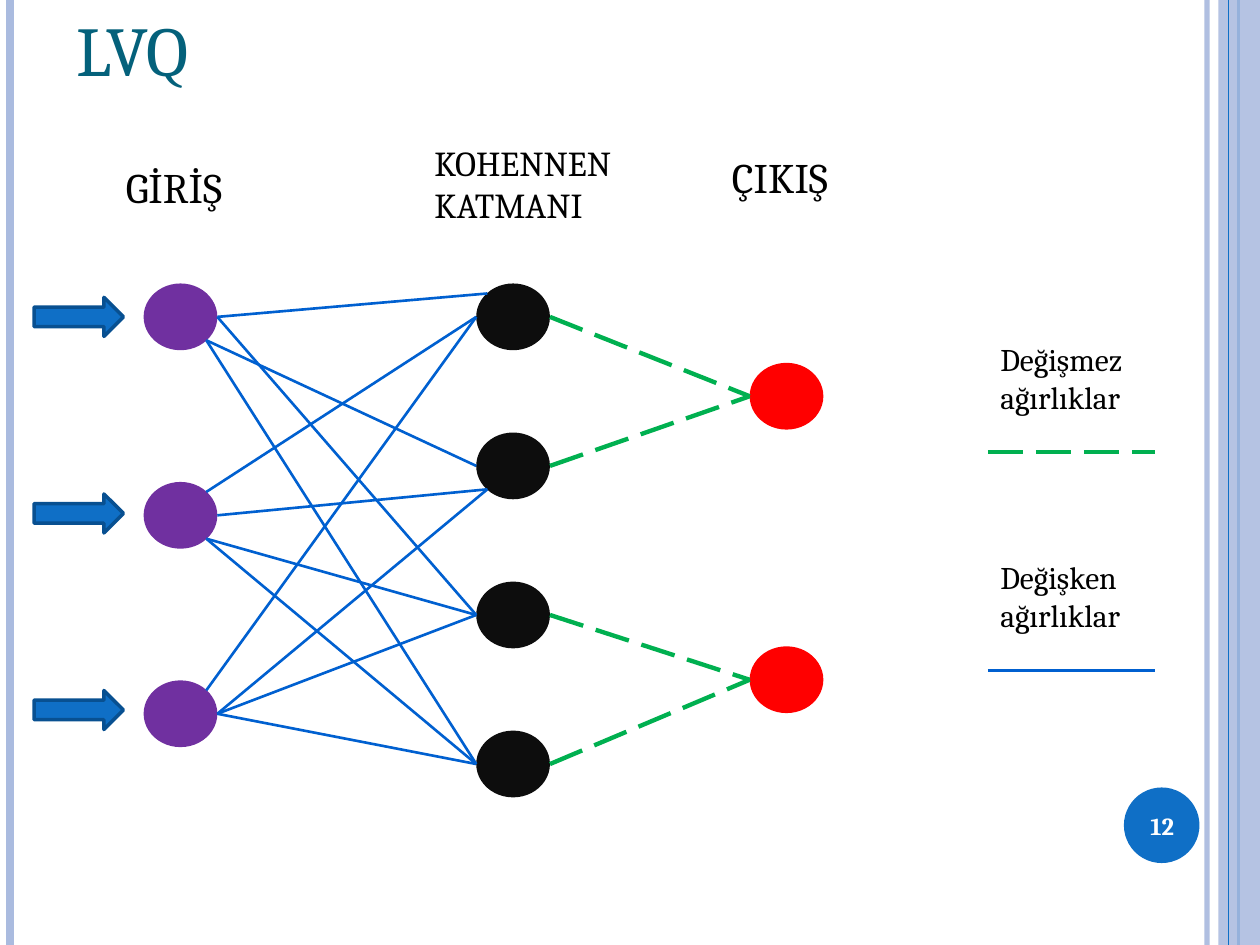
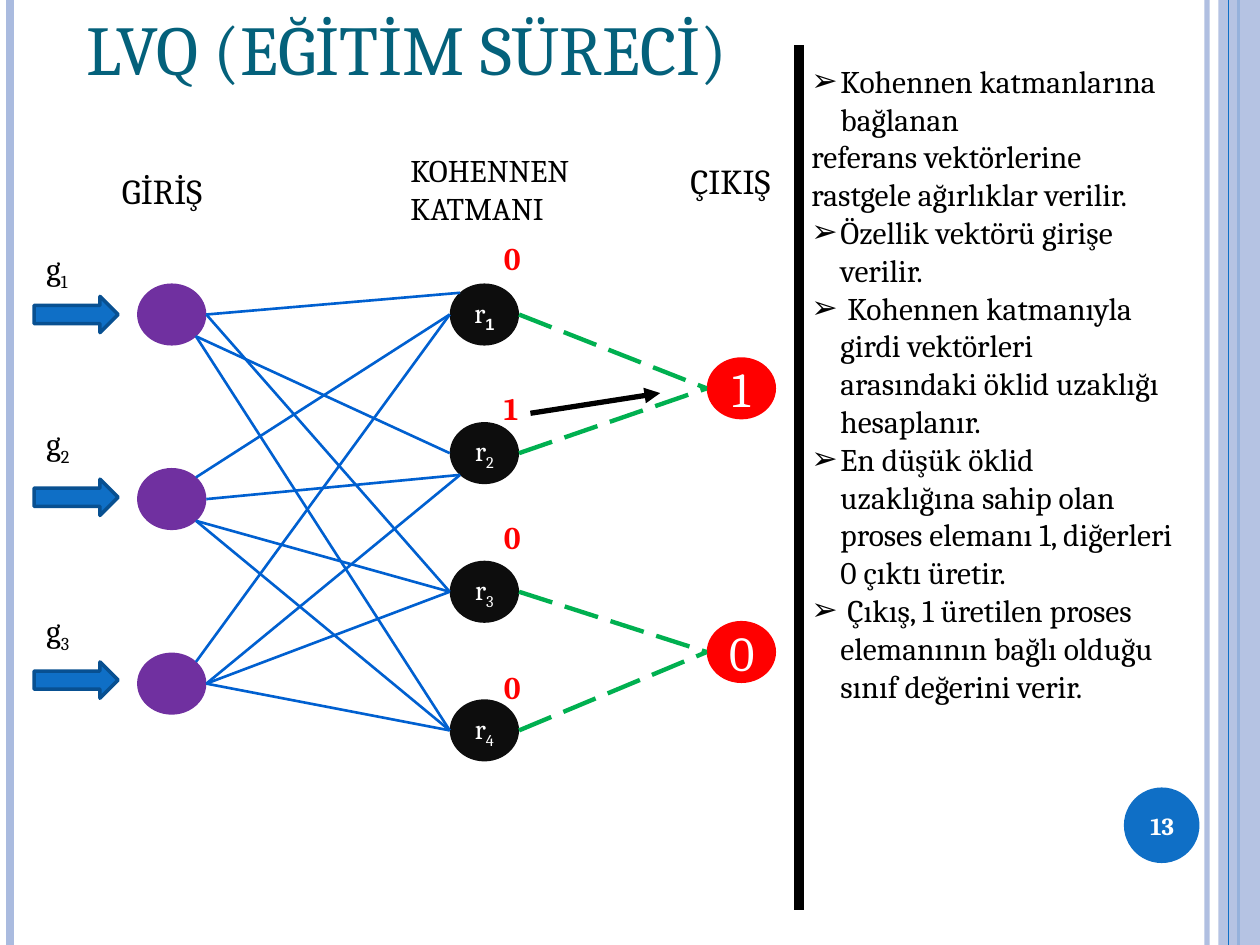
import dataclasses
import typing

import pptx
import pptx.dml.color
import pptx.enum.dml
import pptx.enum.shapes
import pptx.enum.text
import pptx.oxml.ns
import pptx.oxml.xmlchemy
import pptx.util

COLUMNS, ROWS = 100, 75
CELL = pptx.util.Inches(0.1)
SHAPES = pptx.enum.shapes.MSO_SHAPE
ALIGN = pptx.enum.text.PP_ALIGN
ANCHOR = pptx.enum.text.MSO_ANCHOR
LONG_DASH = pptx.enum.dml.MSO_LINE.LONG_DASH

BLUE, DARK_BLUE, PALE_BLUE, TITLE = "0F6FC6", "085091", "AABBDF", "04617B"
PURPLE, INK, RED, GREEN, LINK = "7030A0", "0D0D0D", "FF0000", "00B050", "0060D0"
BLACK, WHITE = "000000", "FFFFFF"

EAST, WEST = (1, 0.5), (0, 0.5)
NORTH_EAST, SOUTH_EAST = (0.85, 0.15), (0.85, 0.85)
NORTH_WEST, SOUTH_WEST = (0.15, 0.15), (0.15, 0.85)


class Point(typing.NamedTuple):
    column: float
    row: float


class Box(typing.NamedTuple):
    column: float
    row: float
    width: float
    height: float

    def site(self, share: tuple) -> Point:
        return Point(self.column + share[0] * self.width, self.row + share[1] * self.height)


class Run(typing.NamedTuple):
    text: str
    size: float
    colour: str = BLACK
    bold: bool = False
    subscript: bool = False
    name: str = "Cambria"


class Stroke(typing.NamedTuple):
    colour: str
    width: float
    dash: typing.Any = None
    opacity: int = 100
    arrow: bool = False


class Layer(typing.NamedTuple):
    column: float
    row: float
    pitch: float
    size: int
    fill: str


class Link(typing.NamedTuple):
    source: int
    leaving: tuple
    target: int
    arriving: tuple


@dataclasses.dataclass
class Network:
    scale_x: float = 1
    scale_y: float = 1
    neuron_labels: typing.Sequence = ()
    output_labels: typing.Sequence = ()

    def place(self, box: Box) -> Box:
        return Box(2.7 + (box.column - 2.7) * self.scale_x,
                   22.5 + (box.row - 22.5) * self.scale_y,
                   box.width * self.scale_x, box.height * self.scale_y)


VARIABLE_WEIGHT = Stroke(LINK, 1.5)
FIXED_WEIGHT = Stroke(GREEN, 2.5, LONG_DASH)

INPUTS = Layer(11.4, 22.5, 15.75, 3, PURPLE)
NEURONS = Layer(37.8, 22.5, 11.83, 4, INK)
OUTPUTS = Layer(59.5, 28.8, 22.5, 2, RED)

VARIABLE_LINKS = [
    Link(0, EAST, 0, NORTH_WEST), Link(0, SOUTH_EAST, 1, WEST),
    Link(0, EAST, 2, WEST), Link(0, SOUTH_EAST, 3, WEST),
    Link(1, NORTH_EAST, 0, WEST), Link(1, EAST, 1, SOUTH_WEST),
    Link(1, SOUTH_EAST, 2, WEST), Link(1, SOUTH_EAST, 3, WEST),
    Link(2, NORTH_EAST, 0, WEST), Link(2, EAST, 1, SOUTH_WEST),
    Link(2, EAST, 2, WEST), Link(2, EAST, 3, WEST),
]
FIXED_LINKS = [Link(neuron, EAST, neuron // 2, WEST) for neuron in range(NEURONS.size)]

TRAINING_STEPS = [
    (True, "Kohennen katmanlarına bağlanan"),
    (False, "referans vektörlerine rastgele ağırlıklar verilir."),
    (True, "Özellik vektörü girişe verilir."),
    (True, " Kohennen katmanıyla girdi vektörleri arasındaki öklid uzaklığı hesaplanır."),
    (True, "En düşük öklid uzaklığına sahip olan proses elemanı 1, diğerleri 0 çıktı üretir."),
    (True, " Çıkış, 1 üretilen proses elemanının bağlı olduğu sınıf değerini verir."),
]


def colour(value: str) -> pptx.dml.color.RGBColor:
    return pptx.dml.color.RGBColor.from_string(value)


def cells(*lengths: float) -> list:
    return [pptx.util.Emu(round(length * CELL)) for length in lengths]


def set_all(target: typing.Any, values: dict) -> None:
    for name, value in values.items():
        setattr(target, name, value)


def element(tag: str, **attributes: str):
    created = pptx.oxml.xmlchemy.OxmlElement(tag)
    for name, value in attributes.items():
        created.set(name, value)
    return created


def set_opacity(shape, percent: int) -> None:
    for node in shape.element.spPr.iter(pptx.oxml.ns.qn("a:srgbClr")):
        node.append(element("a:alpha", val=str(percent * 1000)))


def write(paragraph, *runs: Run, alignment=ALIGN.LEFT) -> None:
    set_all(paragraph, {"alignment": alignment, "space_before": pptx.util.Pt(0)})
    for item in runs:
        run = paragraph.add_run()
        run.text = item.text
        set_all(run.font, {"size": pptx.util.Pt(item.size), "name": item.name, "bold": item.bold})
        run.font.color.rgb = colour(item.colour)
        if item.subscript:
            run.font._element.set("baseline", "-25000")


def add_text(slide, box: Box, *runs: Run, alignment=ALIGN.LEFT, anchor=ANCHOR.TOP) -> None:
    frame = slide.shapes.add_textbox(*cells(*box)).text_frame
    set_all(frame, {"word_wrap": True, "vertical_anchor": anchor})
    write(frame.paragraphs[0], *runs, alignment=alignment)


def add_filled(slide, kind, box: Box, fill: str, outline: str = "", runs: typing.Sequence = ()):
    shape = slide.shapes.add_shape(kind, *cells(*box))
    shape.shadow.inherit = False
    shape.fill.solid()
    shape.fill.fore_color.rgb = colour(fill)
    if outline:
        shape.line.color.rgb = colour(outline)
        shape.line.width = pptx.util.Pt(2)
    else:
        shape.line.fill.background()
    if runs:
        set_all(shape.text_frame, {"word_wrap": True, "vertical_anchor": ANCHOR.MIDDLE})
        write(shape.text_frame.paragraphs[0], *runs, alignment=ALIGN.CENTER)
    return shape


def add_line(slide, start: Point, end: Point, stroke: Stroke) -> None:
    straight = pptx.enum.shapes.MSO_CONNECTOR.STRAIGHT
    connector = slide.shapes.add_connector(straight, *cells(*start, *end))
    line = connector.line
    line.color.rgb = colour(stroke.colour)
    set_all(line, {"width": pptx.util.Pt(stroke.width), "dash_style": stroke.dash})
    if stroke.opacity < 100:
        set_opacity(connector, stroke.opacity)
    if stroke.arrow:
        line._get_or_add_ln().append(element("a:tailEnd", type="triangle"))
    connector.element.spPr.append(element("a:effectLst"))


def add_vertical(slide, column: float, stroke: Stroke, top: float = 0, bottom: float = ROWS) -> None:
    add_line(slide, Point(column, top), Point(column, bottom), stroke)


def add_base(presentation, layout: int, title: str, title_box: Box, number: str):
    slide = presentation.slides.add_slide(presentation.slide_layouts[layout])
    add_vertical(slide, 95.8, Stroke(PALE_BLUE, 3, opacity=93))
    add_vertical(slide, 0.8, Stroke(PALE_BLUE, 4.5))
    add_vertical(slide, 98.3, Stroke(BLUE, 1.5))
    set_opacity(add_filled(slide, SHAPES.RECTANGLE, Box(96.7, 0, 3.3, ROWS), PALE_BLUE), 87)
    add_vertical(slide, 97.5, Stroke(BLUE, 0.75))
    add_filled(slide, SHAPES.OVAL, Box(89.2, 62.5, 6, 6), BLUE)
    add_text(slide, Box(88.9, 62.7, 6.7, 5.7), Run(number, 14, WHITE, True),
             alignment=ALIGN.CENTER, anchor=ANCHOR.MIDDLE)
    fill_placeholder(slide.shapes.title, title_box, ANCHOR.BOTTOM)
    write(slide.shapes.title.text_frame.paragraphs[0], Run(title, 40, TITLE))
    return slide


def fill_placeholder(shape, box: Box, anchor) -> None:
    set_all(shape, dict(zip(("left", "top", "width", "height"), cells(*box))))
    set_all(shape.text_frame, {"word_wrap": True, "vertical_anchor": anchor,
                               "auto_size": pptx.enum.text.MSO_AUTO_SIZE.NONE})


def add_layer(slide, network: Network, layer: Layer, labels: typing.Sequence = ()) -> list:
    nodes = [network.place(Box(layer.column, layer.row + index * layer.pitch, 5.85, 5.3))
             for index in range(layer.size)]
    for index, node in enumerate(nodes):
        add_filled(slide, SHAPES.OVAL, node, layer.fill, runs=labels[index] if labels else ())
    return nodes


def add_links(slide, sources: list, targets: list, links: list, stroke: Stroke) -> None:
    for link in links:
        add_line(slide, sources[link.source].site(link.leaving),
                 targets[link.target].site(link.arriving), stroke)


def add_network(slide, network: Network) -> None:
    neurons = add_layer(slide, network, NEURONS, network.neuron_labels)
    inputs = add_layer(slide, network, INPUTS)
    outputs = add_layer(slide, network, OUTPUTS, network.output_labels)
    add_links(slide, inputs, neurons, VARIABLE_LINKS, VARIABLE_WEIGHT)
    add_links(slide, neurons, outputs, FIXED_LINKS, FIXED_WEIGHT)
    for index in range(INPUTS.size):
        arrow = network.place(Box(2.7, 23.6 + index * 15.6, 7.1, 3.1))
        add_filled(slide, SHAPES.RIGHT_ARROW, arrow, BLUE, DARK_BLUE)


def add_headings(slide, boxes: typing.Sequence, sizes: typing.Sequence) -> None:
    for text, box, size in zip(("GİRİŞ", "KOHENNEN KATMANI", "ÇIKIŞ"), boxes, sizes):
        add_text(slide, box, Run(text, size))


def add_training_steps(shape) -> None:
    fill_placeholder(shape, Box(63.4, 4.4, 30.7, 61), ANCHOR.TOP)
    frame = shape.text_frame
    for index, (bulleted, text) in enumerate(TRAINING_STEPS):
        paragraph = frame.add_paragraph() if index else frame.paragraphs[0]
        properties = paragraph._p.get_or_add_pPr()
        indent = cells(2.3 if bulleted else 0)[0]
        properties.set("marL", str(indent))
        properties.set("indent", str(-indent))
        if bulleted:
            properties.append(element("a:buFont", typeface="Arial"))
            properties.append(element("a:buChar", char="➢"))
        else:
            properties.append(element("a:buNone"))
        write(paragraph, Run(text, 18))


def build_structure(presentation) -> None:
    slide = add_base(presentation, 5, "LVQ", Box(5.1, 2.1, 81.7, 5.6), "12")
    add_network(slide, Network())
    add_headings(slide, (Box(9, 12.3, 11.8, 5), Box(33.5, 10.7, 17.6, 7.7),
                         Box(57.1, 11.5, 11.8, 5)), (24, 20, 24))
    legend = (("Değişmez ağırlıklar", FIXED_WEIGHT), ("Değişken ağırlıklar", VARIABLE_WEIGHT))
    for index, (text, stroke) in enumerate(legend):
        top = 26.5 + index * 17.3
        add_text(slide, Box(78.4, top, 14.2, 7), Run(text, 18))
        add_line(slide, Point(78.4, top + 9.4), Point(91.7, top + 9.4), stroke)


def build_training(presentation) -> None:
    slide = add_base(presentation, 1, "LVQ (EĞİTİM SÜRECİ)", Box(5.9, 0, 81.7, 7.6), "13")
    add_training_steps(slide.placeholders[1])
    add_vertical(slide, 63.4, Stroke(BLACK, 6), 3.6, 72.2)
    neuron_labels = [
        (Run("r", 16, WHITE),
         Run(digit, 16, WHITE, digit == "1", True, "Arial" if digit == "1" else "Cambria"))
        for digit in "1234"]
    output_labels = [(Run(digit, 28, WHITE),) for digit in "10"]
    add_network(slide, Network(0.94, 0.93, neuron_labels, output_labels))
    add_headings(slide, (Box(8.7, 13, 12.3, 4.4), Box(31.6, 11.5, 18.4, 7),
                         Box(53.8, 12.2, 11.9, 4.4)), (20, 18, 20))
    for digit, row in zip("123", (19.3, 33.2, 48)):
        add_text(slide, Box(2.7, row, 5, 4.4), Run("g", 18), Run(digit, 18, subscript=True))
    for digit, row in zip("0100", (18.5, 30.4, 40.6, 52.5)):
        add_text(slide, Box(39, row, 4.7, 4), Run(digit, 18, RED, True))
    add_line(slide, Point(42.1, 32.8), Point(52.4, 31.2), Stroke(BLACK, 3, arrow=True))


def main() -> None:
    presentation = pptx.Presentation()
    set_all(presentation, {"slide_width": COLUMNS * CELL, "slide_height": ROWS * CELL})
    build_structure(presentation)
    build_training(presentation)
    presentation.save("out.pptx")


if __name__ == "__main__":
    main()
